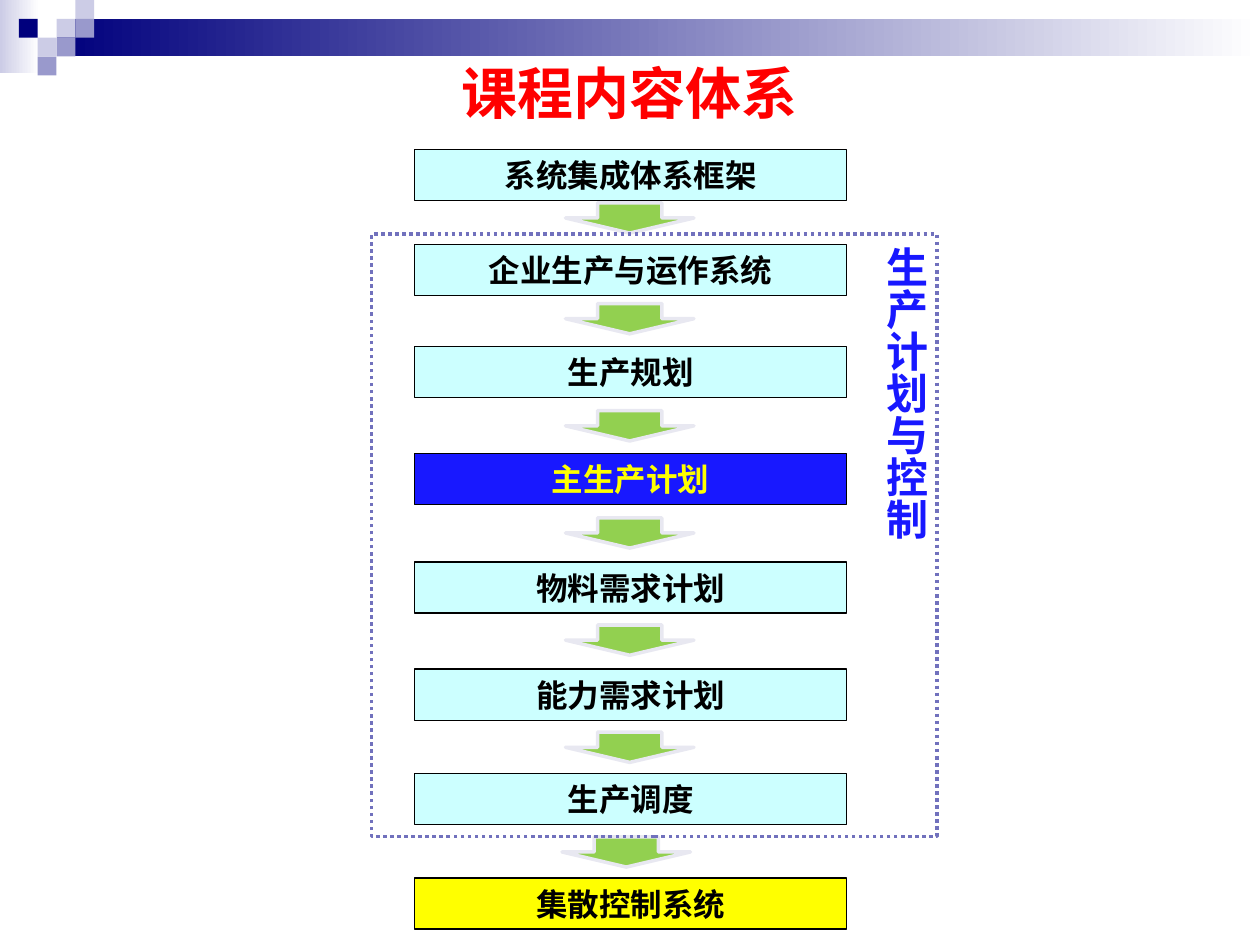
from lxml import etree
from pptx import Presentation
from pptx.dml.color import RGBColor
from pptx.enum import dml, shapes, text
from pptx.oxml import ns
from pptx.util import Cm, Pt

RECT = shapes.MSO_SHAPE.RECTANGLE
CJK_FONT = "Noto Sans CJK SC"


def rgb(value):
    return RGBColor.from_string(value)


class CourseSlide:
    """Holds the colours of the course style and the slide being filled."""

    NAVY, VIOLET, LILAC = "00007D", "9999CC", "CCCCE6"
    AQUA, BLUE, YELLOW, GREEN = "CCFFFF", "1818FF", "FFFF00", "92D050"
    BLACK, WHITE, RED = "000000", "FFFFFF", "FF0000"
    ARROW_EDGE, FRAME_EDGE = "E8E8F1", "7171BD"

    def __init__(self, slide):
        self.slide = slide

    def shape(self, kind, bounds, fill=None, line=None, width=0.75):
        item = self.slide.shapes.add_shape(kind, *map(Cm, bounds))
        item.shadow.inherit = False
        if fill:
            item.fill.solid()
            item.fill.fore_color.rgb = rgb(fill)
        else:
            item.fill.background()
        if line:
            item.line.color.rgb = rgb(line)
            item.line.width = Pt(width)
        else:
            item.line.fill.background()
        return item

    def fade(self, bounds, start):
        """Add a bar that fades from the start colour to white, left to right."""
        bar = self.shape(RECT, bounds)
        bar.fill.gradient()
        bar.fill.gradient_angle = 0
        for stop, colour in zip(bar.fill.gradient_stops, (start, self.WHITE)):
            stop.color.rgb = rgb(colour)

    def label(self, item, words, size, colour, font="Calibri",
              align=text.PP_ALIGN.CENTER, anchor=text.MSO_ANCHOR.MIDDLE):
        frame = item.text_frame
        frame.text = words
        frame.word_wrap = True
        frame.vertical_anchor = anchor
        paragraph = frame.paragraphs[0]
        paragraph.alignment = align
        run = paragraph.runs[0]
        run.font.name = font
        run.font.size = Pt(size)
        run.font.bold = True
        run.font.color.rgb = rgb(colour)
        east_asian = etree.Element(ns.qn("a:ea"), typeface=CJK_FONT)
        run.font._element.find(ns.qn("a:latin")).addnext(east_asian)

    def title(self, words):
        box = self.slide.shapes.add_textbox(Cm(1.27), Cm(1.27), Cm(22.86), Cm(1.17))
        self.label(box, words, 32, self.RED, "Arial")

    def stage(self, top, words, fill=AQUA, colour=BLACK, font="Calibri"):
        box = self.shape(RECT, (8.36, top, 8.71, 1.03), fill, self.BLACK)
        self.label(box, words, 18, colour, font)

    def arrow(self, top, left=11.4):
        self.shape(shapes.MSO_SHAPE.DOWN_ARROW, (left, top, 2.59, 0.61),
                   self.GREEN, self.ARROW_EDGE, 2)

    def scope(self, bounds, words):
        """Add the dotted frame with its vertical caption on the right."""
        frame = self.shape(RECT, bounds, line=self.FRAME_EDGE, width=2)
        frame.line.dash_style = dml.MSO_LINE.ROUND_DOT
        self.label(frame, words, 24, self.BLUE, "Arial",
                   text.PP_ALIGN.LEFT, text.MSO_ANCHOR.TOP)
        frame.text_frame._txBody.bodyPr.set("vert", "eaVert")

    def header(self):
        cell = 0.38
        self.fade((0, 0, 0.79, 1.47), self.LILAC)
        self.fade((3 * cell, cell, 25.4 - 3 * cell, 2 * cell), self.NAVY)
        mosaic = [(3, 1, self.LILAC), (4, 0, self.LILAC), (4, 1, self.VIOLET),
                  (2, 2, self.LILAC), (1, 1, self.NAVY), (3, 2, self.VIOLET),
                  (2, 3, self.VIOLET)]
        for column, row, colour in mosaic:
            self.shape(RECT, (column * cell, row * cell, cell, cell), colour)


def main():
    deck = Presentation()
    deck.slide_width, deck.slide_height = Cm(25.4), Cm(19.05)
    course = CourseSlide(deck.slides.add_slide(deck.slide_layouts[6]))

    course.header()
    course.title("课程内容体系")

    course.stage(3.02, "系统集成体系框架", font=CJK_FONT)
    course.stage(4.93, "企业生产与运作系统")
    course.stage(6.99, "生产规划")
    course.stage(9.14, "主生产计划", course.BLUE, course.YELLOW)
    course.stage(11.33, "物料需求计划")
    course.stage(13.49, "能力需求计划")
    course.stage(15.6, "生产调度")
    course.stage(17.7, "集散控制系统", course.YELLOW)

    course.arrow(4.09)
    for step in range(5):
        course.arrow(6.12 + 2.16 * step)
    course.arrow(16.87, left=11.33)

    course.scope((7.49, 4.72, 11.4, 12.14), "生产计划与控制")
    deck.save("out.pptx")


if __name__ == "__main__":
    main()
